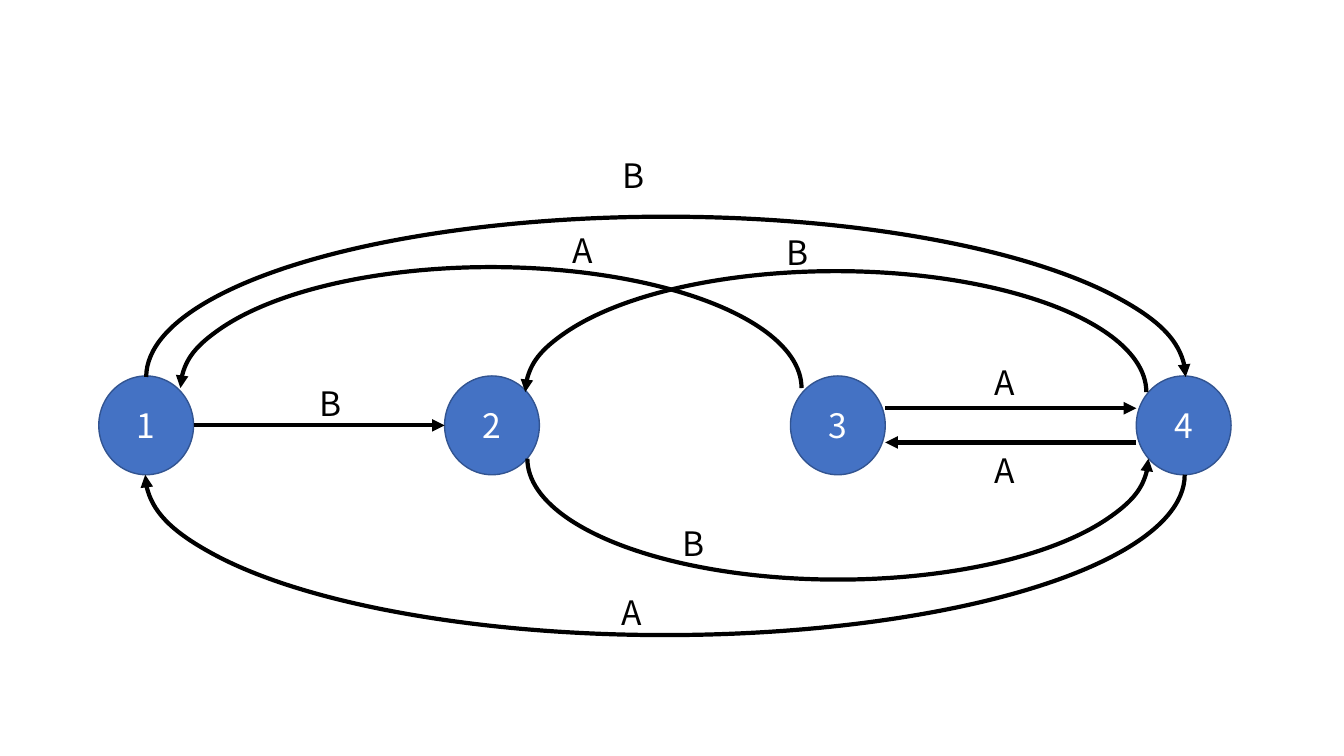
from pptx import Presentation
from pptx.dml.color import RGBColor
from pptx.enum.shapes import MSO_CONNECTOR as Connector, MSO_SHAPE as Shape
from pptx.enum.text import MSO_ANCHOR as Anchor, MSO_AUTO_SIZE as AutoSize, PP_ALIGN as Align
from pptx.oxml.ns import qn
from pptx.util import Inches, Pt
from lxml import etree

FONT = "Noto Sans CJK SC"
BLUE, DARK_BLUE, BLACK, WHITE = "4472C4", "325491", "000000", "FFFFFF"

# States: evenly spaced circles
STATES = ["1", "2", "3", "4"]
STATE_LEFT, STATE_TOP, STATE_STEP = 0.98, 3.73, 3.43
STATE_WIDTH, STATE_HEIGHT = 0.94, 0.98

# Straight transitions: from state, to state, height
STRAIGHT = [(1, 2, 4.22), (3, 4, 4.05), (4, 3, 4.39)]

# Curved transitions: left, top, size, rotation, end that carries the arrowhead
WIDE, NARROW = (10.31, 3.18), (6.16, 2.4)
CURVED = [
    (1.45, 2.15, WIDE, 0, "tail"),       # 1 to 4
    (1.44, 3.12, WIDE, 180, "tail"),     # 4 to 1
    (5.21, 2.69, NARROW, 0, "head"),     # 4 to 2
    (5.23, 3.35, NARROW, 180, "head"),   # 2 to 4
    (1.79, 2.65, NARROW, 0, "head"),     # 3 to 1
]

# Transition labels: letter, left, top
LABELS = [
    ("A", 6.07, 5.82), ("B", 6.08, 1.49), ("B", 7.7, 2.25), ("B", 6.67, 5.14),
    ("B", 3.07, 3.75), ("A", 9.77, 4.41), ("A", 9.77, 3.54), ("A", 5.58, 2.23),
]


def color(value):
    return RGBColor.from_string(value)


def write(box, text, text_color, align):
    para = box.text_frame.paragraphs[0]
    para.text = text
    para.alignment = align
    para.font.size = Pt(24)
    para.font.name = FONT
    para.font.color.rgb = color(text_color)


def style_arrow(arrow, end):
    arrow.line.color.rgb = color(BLACK)
    arrow.line.width = Pt(3)
    properties = arrow._element.spPr
    etree.SubElement(properties.find(qn("a:ln")), qn(f"a:{end}End"), type="triangle")
    if properties.find(qn("a:effectLst")) is None:
        etree.SubElement(properties, qn("a:effectLst"))


def state_left(number):
    return STATE_LEFT + STATE_STEP * (number - 1)


deck = Presentation()
deck.slide_width, deck.slide_height = Inches(13.33), Inches(7.5)
page = deck.slides.add_slide(deck.slide_layouts[6])
shapes = page.shapes

# Circles
for number, name in enumerate(STATES, start=1):
    circle = shapes.add_shape(Shape.OVAL, Inches(state_left(number)), Inches(STATE_TOP),
                              Inches(STATE_WIDTH), Inches(STATE_HEIGHT))
    circle.shadow.inherit = False
    circle.fill.solid()
    circle.fill.fore_color.rgb = color(BLUE)
    circle.line.color.rgb = color(DARK_BLUE)
    circle.line.width = Pt(1)
    circle.text_frame.vertical_anchor = Anchor.MIDDLE
    write(circle, name, WHITE, Align.CENTER)

# Straight arrows run between the facing edges of two circles
for source, target, height in STRAIGHT:
    start, finish = state_left(source), state_left(target)
    if source < target:
        start += STATE_WIDTH
    else:
        finish += STATE_WIDTH
    arrow = shapes.add_connector(Connector.STRAIGHT, Inches(start), Inches(height),
                                 Inches(finish), Inches(height))
    style_arrow(arrow, "tail")

# Half-ellipse arrows
for left, top, (width, height), rotation, end in CURVED:
    arc = shapes.add_shape(Shape.ARC, Inches(left), Inches(top), Inches(width), Inches(height))
    arc.adjustments[0], arc.adjustments[1] = 108, 0  # 180 degrees to 0
    arc.rotation = rotation
    arc.shadow.inherit = False
    arc.fill.background()
    style_arrow(arc, end)

# Labels
for letter, left, top in LABELS:
    label = shapes.add_textbox(Inches(left), Inches(top), Inches(0.53), Inches(0.5))
    label.text_frame.word_wrap = True
    label.text_frame.auto_size = AutoSize.SHAPE_TO_FIT_TEXT
    write(label, letter, BLACK, Align.LEFT)

deck.save("out.pptx")
